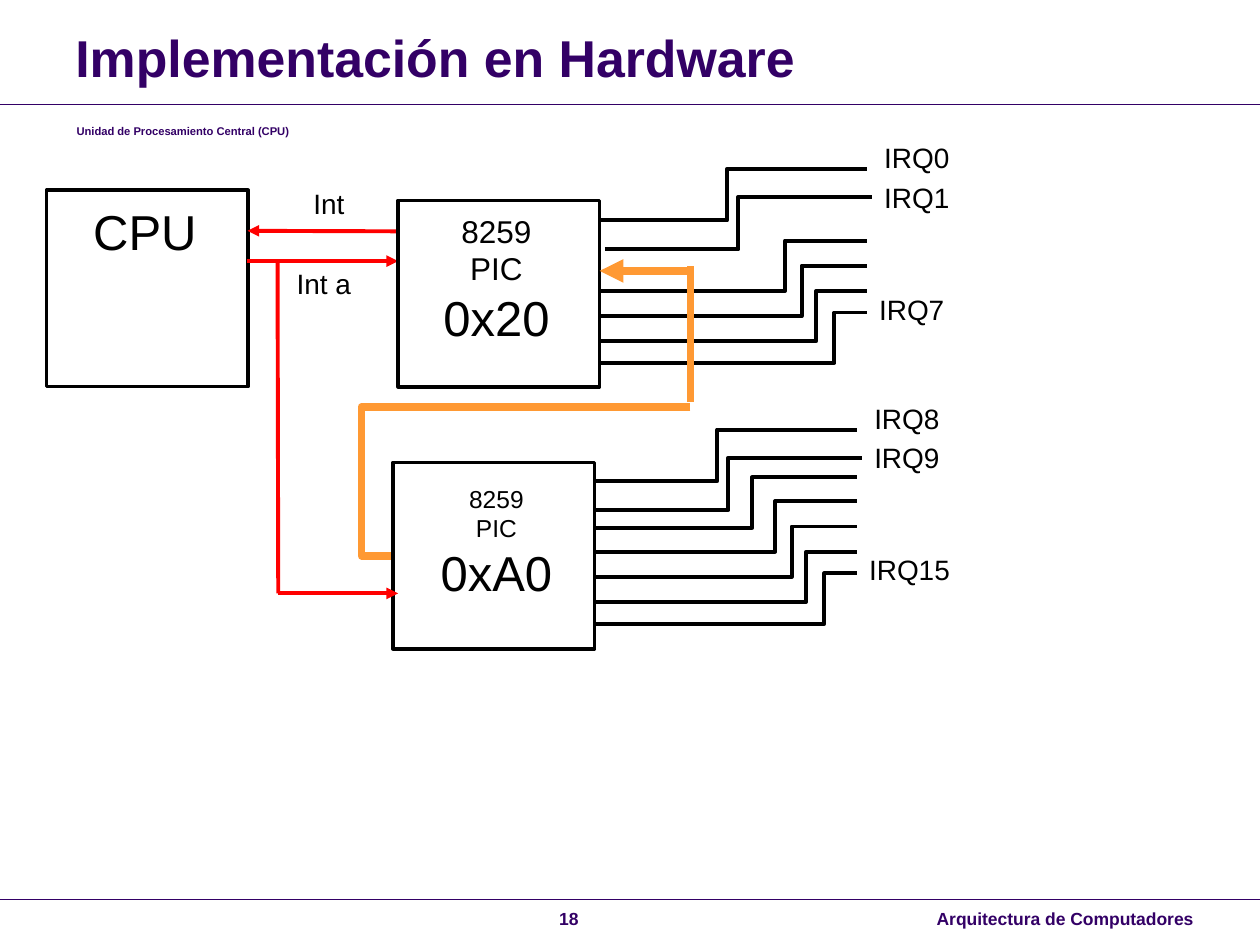
from dataclasses import dataclass

from lxml import etree
from pptx import Presentation
from pptx import util as u
from pptx.dml.color import RGBColor
from pptx.enum import shapes, text
from pptx.oxml import ns


@dataclass(frozen=True)
class Theme:
    font: str = "Arial"
    ink: str = "000000"
    paper: str = "FFFFFF"
    brand: str = "330066"
    signal: str = "FF0000"
    cascade: str = "FF9933"
    title: float = 29.6
    subtitle: float = 6.4
    footer: float = 10
    label: float = 16
    chip: float = 18
    chip_small: float = 14
    big: float = 28
    wire: float = 2.25
    bus: float = 4.5
    border: float = 2


class Diagram:
    """Draws the elements of one slide in a shared theme, in points."""

    def __init__(self, prs, theme):
        self.t = theme
        self.s = prs.slides.add_slide(prs.slide_layouts[6])

    def box(self, x, y, w, h):
        sp = self.s.shapes.add_shape(
            shapes.MSO_SHAPE.RECTANGLE, u.Pt(x), u.Pt(y), u.Pt(w), u.Pt(h))
        sp.shadow.inherit = False
        sp.fill.solid()
        sp.fill.fore_color.rgb = RGBColor.from_string(self.t.paper)
        sp.line.color.rgb = RGBColor.from_string(self.t.ink)
        sp.line.width = u.Pt(self.t.border)

    def text(self, x, y, w, h, lines, align="LEFT", color=None, bold=False, anchor="TOP"):
        sp = self.s.shapes.add_textbox(u.Pt(x), u.Pt(y), u.Pt(w), u.Pt(h))
        tf = sp.text_frame
        tf.word_wrap = True
        tf.vertical_anchor = text.MSO_ANCHOR[anchor]
        for i, (words, size) in enumerate(lines):
            p = tf.add_paragraph() if i else tf.paragraphs[0]
            p.alignment = text.PP_ALIGN[align]
            r = p.add_run()
            r.text = words
            r.font.name = self.t.font
            r.font.size = u.Pt(size)
            r.font.bold = bold
            r.font.color.rgb = RGBColor.from_string(color or self.t.ink)

    def line(self, start, end, color, width, arrow=False, bend=None):
        kind = shapes.MSO_CONNECTOR.STRAIGHT if bend is None else shapes.MSO_CONNECTOR.ELBOW
        cx = self.s.shapes.add_connector(kind, *(u.Pt(v) for v in (*start, *end)))
        cx.line.color.rgb = RGBColor.from_string(color)
        cx.line.width = u.Pt(width)
        pr = cx._element.spPr
        etree.SubElement(pr, ns.qn("a:effectLst"))
        if arrow:
            etree.SubElement(cx.line._get_or_add_ln(), ns.qn("a:tailEnd"), type="triangle")
        if bend is not None:
            guides = pr.find(ns.qn("a:prstGeom")).get_or_add_avLst()
            etree.SubElement(guides, ns.qn("a:gd"), name="adj1",
                             fmla=f"val {round(bend * 100000)}")

    def irq_bank(self, x, y, wires, labels):
        for dx, dy, rise, bend in wires:
            self.line((x + dx, y + dy), (x + dx + 152.6, y + dy - rise),
                      self.t.ink, self.t.wire, bend=bend)
        for words, (dx, dy) in zip(labels, ((155.5, -49), (155.5, -26.6), (152.6, 37.4))):
            self.text(x + dx, y + dy, 77.8, 26.6, [(words, self.t.label)])


def main():
    prs = Presentation()
    prs.slide_width, prs.slide_height = u.Pt(720), u.Pt(540)
    t = Theme()
    d = Diagram(prs, t)

    d.line((0, 59.6), (720, 59.6), t.brand, 0.75)
    d.line((0, 514), (720, 514), t.brand, 0.5)
    d.text(460.8, 515.5, 228.2, 20.2, [("Arquitectura de Computadores", t.footer)],
           "RIGHT", t.brand, True)
    d.text(241.2, 515.5, 167.8, 20.2, [("18", t.footer)], "CENTER", t.brand, True)
    d.text(36, 9.4, 594, 44.6, [("Implementación en Hardware", t.title)],
           color=t.brand, bold=True, anchor="BOTTOM")
    d.text(36.7, 65.5, 566.6, 16.6, [("Unidad de Procesamiento Central (CPU)", t.subtitle)],
           color=t.brand, bold=True, anchor="BOTTOM")

    d.text(147.6, 103, 80.6, 26.6, [("Int", t.label)], "CENTER")
    d.text(144.7, 149, 80.6, 26.6, [("Int a", t.label)], "CENTER")
    d.box(26.6, 108.7, 115.2, 112.3)
    d.text(32.4, 111.6, 100.8, 41, [("CPU", t.big)], "CENTER")
    d.line((227.5, 132.2), (141.4, 131.9), t.signal, t.wire, arrow=True)
    d.line((141.4, 149.2), (227.5, 149.2), t.signal, t.wire, arrow=True)

    d.box(227.5, 114.5, 115.2, 106.6)
    d.text(233.3, 117.4, 100.8, 84.2,
           [("8259", t.chip), ("PIC", t.chip), ("0x20", t.big)], "CENTER")

    first = [(0, 0, 29.5, 0.477), (2.9, 16.6, 30, 0.5)]
    third = [(0, 26.6, 28.8, 0.608)]
    rest = [(0, dy, 28.8, bend) for dy, bend in
            ((40.3, 0.694), (54.7, 0.756), (69.1, 0.81), (81.4, 0.879))]
    d.irq_bank(342.7, 126, first + rest, ("IRQ0", "IRQ1", "IRQ7"))
    d.irq_bank(337, 275, first + third + rest, ("IRQ8", "IRQ9", "IRQ15"))

    d.line((394.6, 232.6), (224.6, 317.5), t.cascade, t.bus, bend=1.106)
    d.box(224.6, 264.2, 115.2, 106.6)
    d.text(233.3, 272.9, 100.8, 74.9,
           [("8259", t.chip_small), ("PIC", t.chip_small), ("0xA0", t.big)], "CENTER")
    d.line((394.6, 229.7), (394.6, 151.9), t.cascade, t.bus)
    d.line((394.6, 154.8), (342.7, 154.8), t.cascade, t.bus, arrow=True)
    d.line((159, 339.1), (158.6, 149.2), t.signal, t.wire)
    d.line((158.6, 339.1), (227.5, 339.1), t.signal, t.wire, arrow=True)

    prs.save("out.pptx")


if __name__ == "__main__":
    main()
